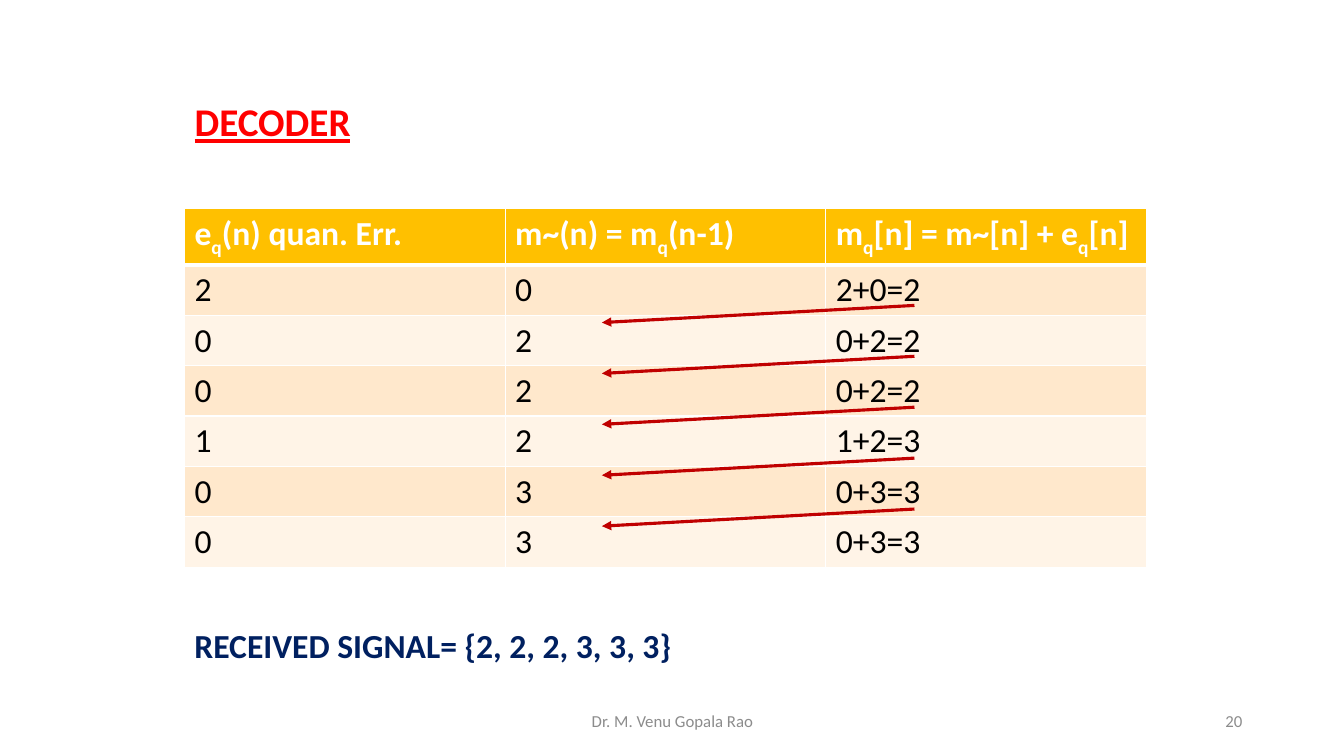
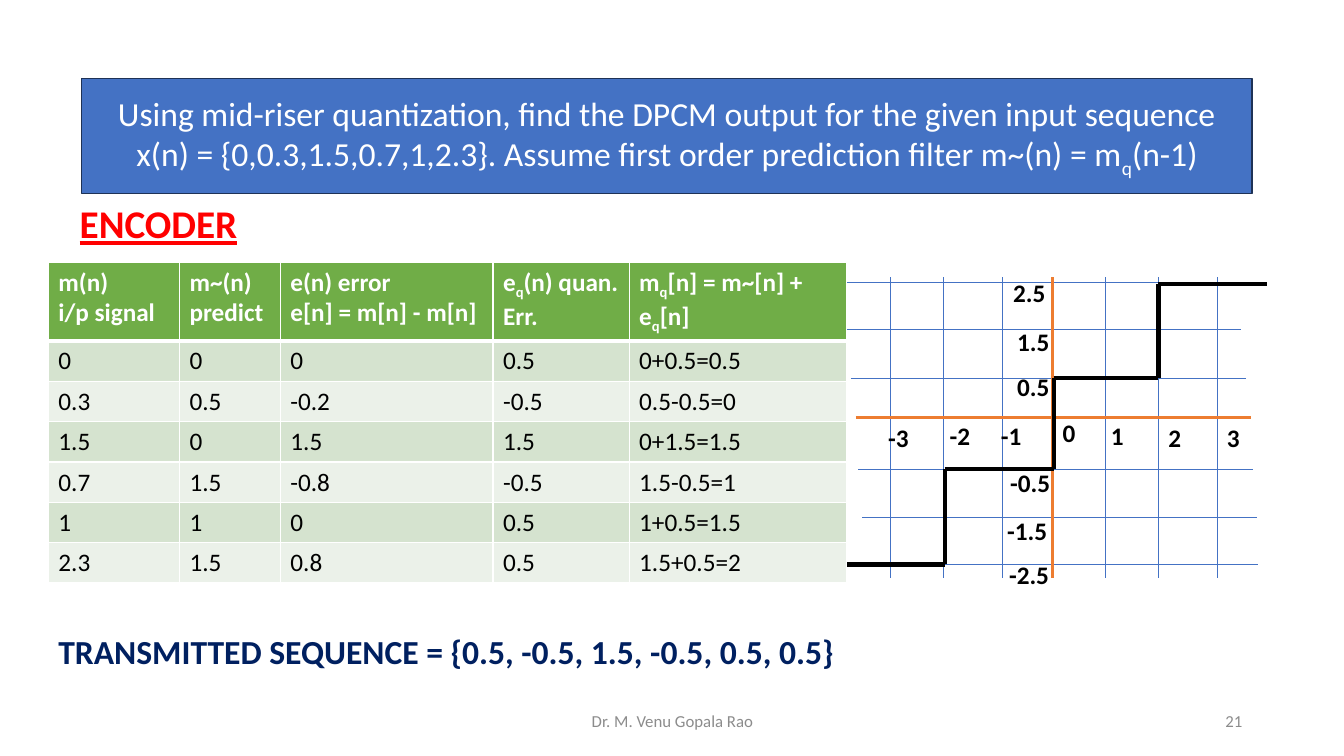
from dataclasses import dataclass
from lxml.etree import SubElement as Sub
from pptx import Presentation
from pptx.dml.color import RGBColor as Rgb
from pptx.enum.shapes import MSO_CONNECTOR as Link, MSO_SHAPE as Form
from pptx.enum.text import MSO_ANCHOR as Anchor, MSO_AUTO_SIZE as Fit, PP_ALIGN as Align
from pptx.oxml.ns import qn
from pptx.util import Inches, Pt


@dataclass(frozen=True)
class Theme:
    font: str = "Calibri"
    white: str = "FFFFFF"
    black: str = "000000"
    red: str = "FF0000"
    navy: str = "002060"
    gray: str = "8C8C8C"
    blue: str = "4472C4"
    edge: str = "1E3256"
    axis: str = "ED7D31"
    arrow: str = "C00000"
    gold: tuple = ("FFC000", "FFE8CC", "FFF4E7")
    green: tuple = ("70AD47", "D5E3CF", "EBF1E9")
    head: int = 28
    body: int = 24
    cell: int = 18
    foot: int = 12


T = Theme()
AUTHOR = "Dr. M. Venu Gopala Rao"

DECODER = {
    "page": 20,
    "title": ("DECODER", (1.83, 0.92, 3.21, 0.57)),
    "result": ("RECEIVED SIGNAL= {2, 2, 2, 3, 3, 3}", (1.83, 6.15, 9.54, 0.5)),
    "table": {
        "at": (1.83, 2.07), "cols": [3.18] * 3, "rows": (0.54, 0.5),
        "size": T.body, "fills": T.gold,
        "data": [
            ("e_q(n) quan. Err.", "m~(n) = m_q(n-1)", "m_q[n] = m~[n] + e_q[n]"),
            ("2", "0", "2+0=2"),
            ("0", "2", "0+2=2"),
            ("0", "2", "0+2=2"),
            ("1", "2", "1+2=3"),
            ("0", "3", "0+3=3"),
            ("0", "3", "0+3=3"),
        ],
    },
}
ARROWS = {"count": 5, "from": (9.07, 3.03), "to": (5.97, 3.2), "step": 0.505}

ENCODER = {
    "page": 21,
    "title": ("ENCODER", (0.69, 1.93, 3.21, 0.57)),
    "result": ("TRANSMITTED SEQUENCE = {0.5, -0.5, 1.5, -0.5, 0.5, 0.5}",
               (0.48, 6.21, 11.29, 0.5)),
    "table": {
        "at": (0.48, 2.6), "cols": [1.3, 1, 2.11, 1.35, 2.16], "rows": (0.78, 0.4),
        "size": T.cell, "fills": T.green,
        "data": [
            ("m(n)\ni/p signal", "m~(n) predict", "e(n) error\ne[n] = m[n] - m[n]",
             "e_q(n) quan. Err.", "m_q[n] = m~[n] + e_q[n]"),
            ("0", "0", "0", "0.5", "0+0.5=0.5"),
            ("0.3", "0.5", "-0.2", "-0.5", "0.5-0.5=0"),
            ("1.5", "0", "1.5", "1.5", "0+1.5=1.5"),
            ("0.7", "1.5", "-0.8", "-0.5", "1.5-0.5=1"),
            ("1", "1", "0", "0.5", "1+0.5=1.5"),
            ("2.3", "1.5", "0.8", "0.5", "1.5+0.5=2"),
        ],
    },
}
TASK = ("Using mid-riser quantization, find the DPCM output for the given input sequence "
        "x(n) = {0,0.3,1.5,0.7,1,2.3}. Assume first order prediction filter m~(n) = m_q(n-1)")
PLOT = {
    "top": 2.75, "bottom": 5.73, "width": 3.92,
    "axes": (10.44, (8.49, 4.14)),
    "cols": [8.83, 9.36, 9.94, 10.96, 11.49, 12.07],
    "rows": [(8.35, 2.8), (8.39, 3.27), (8.44, 3.75),
             (8.51, 4.66), (8.55, 5.13), (8.56, 5.6)],
    "stairs": [(8.29, 5.6), (9.37, 5.6), (9.37, 4.65), (10.45, 4.65),
               (10.45, 3.75), (11.49, 3.75), (11.49, 2.82), (12.57, 2.82)],
    "labels": [
        ("-3", 8.71, 4.14, 0.44), ("-2", 9.32, 4.12, 0.44), ("-1", 9.83, 4.12, 0.44),
        ("0", 10.44, 4.09, 0.35), ("1", 10.92, 4.12, 0.35),
        ("2", 11.49, 4.14, 0.35), ("3", 12.07, 4.14, 0.35),
        ("2.5", 9.95, 2.7, 0.56), ("1.5", 9.99, 3.19, 0.56), ("0.5", 9.99, 3.63, 0.56),
        ("-0.5", 9.92, 4.59, 0.7), ("-1.5", 9.89, 5.06, 0.72), ("-2.5", 9.91, 5.5, 0.7),
    ],
}


def box(at):
    return [Inches(v) for v in at]


def write(frame, text, size, color, bold=False, line=False, align=Align.LEFT):
    frame.text = text.replace("_", "")
    for para, words in zip(frame.paragraphs, text.split("\n")):
        para.alignment = align
        first, *rest = words.split("_")
        parts = [(first, False)]
        for part in rest:
            parts += [(part[0], True), (part[1:], False)]
        para.clear()
        for part, low in parts:
            run = para.add_run()
            run.text = part
            font = run.font
            font.name, font.size = T.font, Pt(size)
            font.bold, font.underline = bold, line
            font.color.rgb = Rgb.from_string(color)
            if low:
                run._r.get_or_add_rPr().set("baseline", "-25000")


def label(shapes, text, at, size, color, anchor=Anchor.TOP, **style):
    frame = shapes.add_textbox(*box(at)).text_frame
    frame.word_wrap = True
    frame.vertical_anchor = anchor
    write(frame, text, size, color, **style)


def rule(shapes, start, end, color, width, arrow=False):
    link = shapes.add_connector(Link.STRAIGHT, *box(start + end))
    link.line.color.rgb = Rgb.from_string(color)
    link.line.width = Pt(width)
    if arrow:
        Sub(link.line._get_or_add_ln(), qn("a:tailEnd"), type="triangle")
    Sub(link._element.spPr, qn("a:effectLst"))


def border(cell, row):
    props = cell._tc.get_or_add_tcPr()
    widths = {"L": 1, "R": 1, "T": 3 if row == 1 else 1, "B": 3 if row == 0 else 1}
    for side, width in widths.items():
        edge = Sub(props, qn("a:ln" + side), w=str(Pt(width)))
        Sub(Sub(edge, qn("a:solidFill")), qn("a:srgbClr"), val=T.white)


def grid(slide, at, cols, rows, size, fills, data):
    head, row_h = rows
    high = head + row_h * (len(data) - 1)
    table = slide.shapes.add_table(
        len(data), len(cols), *box(at + (sum(cols), high))).table
    table.horz_banding = False
    for col, width in zip(table.columns, cols):
        col.width = Inches(width)
    for r, texts in enumerate(data):
        table.rows[r].height = Inches(row_h if r else head)
        fill = fills[2 - r % 2] if r else fills[0]
        for c, text in enumerate(texts):
            cell = table.cell(r, c)
            border(cell, r)
            cell.fill.solid()
            cell.fill.fore_color.rgb = Rgb.from_string(fill)
            write(cell.text_frame, text, size, T.black if r else T.white, bold=not r)


def start(deck, page):
    slide = deck.slides.add_slide(deck.slide_layouts[5])
    text, at = page["title"]
    title = slide.shapes.title
    title.left, title.top, title.width, title.height = box(at)
    frame = title.text_frame
    frame.auto_size, frame.vertical_anchor = Fit.NONE, Anchor.TOP
    write(frame, text, T.head, T.red, bold=True, line=True)
    for text, at, align in ((AUTHOR, (4.42, 6.95, 4.5, 0.4), Align.CENTER),
                            (str(page["page"]), (9.42, 6.95, 3, 0.4), Align.RIGHT)):
        label(slide.shapes, text, at, T.foot, T.gray, Anchor.MIDDLE, align=align)
    text, at = page["result"]
    label(slide.shapes, text, at, T.body, T.navy, bold=True)
    return slide


def banner(slide):
    shape = slide.shapes.add_shape(Form.RECTANGLE, *box((0.81, 0.78, 11.61, 1.14)))
    shape.shadow.inherit = False
    shape.fill.solid()
    shape.fill.fore_color.rgb = Rgb.from_string(T.blue)
    shape.line.color.rgb = Rgb.from_string(T.edge)
    shape.line.width = Pt(1)
    frame = shape.text_frame
    frame.word_wrap, frame.vertical_anchor = True, Anchor.MIDDLE
    write(frame, TASK, T.body, T.white, align=Align.CENTER)


def plot(slide):
    shapes = slide.shapes.add_group_shape().shapes
    top, bottom, width = PLOT["top"], PLOT["bottom"], PLOT["width"]
    mid, base = PLOT["axes"]
    for cols, rows, color, thick in ((PLOT["cols"], PLOT["rows"], T.blue, 0.5),
                                     ([mid], [base], T.axis, 2.25)):
        for x in cols:
            rule(shapes, (x, top), (x, bottom), color, thick)
        for x, y in rows:
            rule(shapes, (x, y), (x + width, y), color, thick)
    stairs = PLOT["stairs"]
    for a, b in zip(stairs, stairs[1:]):
        rule(shapes, a, b, T.black, 3)
    for text, x, y, wide in PLOT["labels"]:
        label(shapes, text, (x, y, wide, 0.4), T.cell, T.black, bold=True)


def main():
    deck = Presentation()
    deck.slide_width, deck.slide_height = Inches(13.33), Inches(7.5)

    slide = start(deck, DECODER)
    grid(slide, **DECODER["table"])
    (x1, y1), (x2, y2) = ARROWS["from"], ARROWS["to"]
    for i in range(ARROWS["count"]):
        drop = i * ARROWS["step"]
        rule(slide.shapes, (x1, y1 + drop), (x2, y2 + drop), T.arrow, 2.25, arrow=True)

    slide = start(deck, ENCODER)
    banner(slide)
    plot(slide)
    grid(slide, **ENCODER["table"])

    deck.save("out.pptx")


if __name__ == "__main__":
    main()
